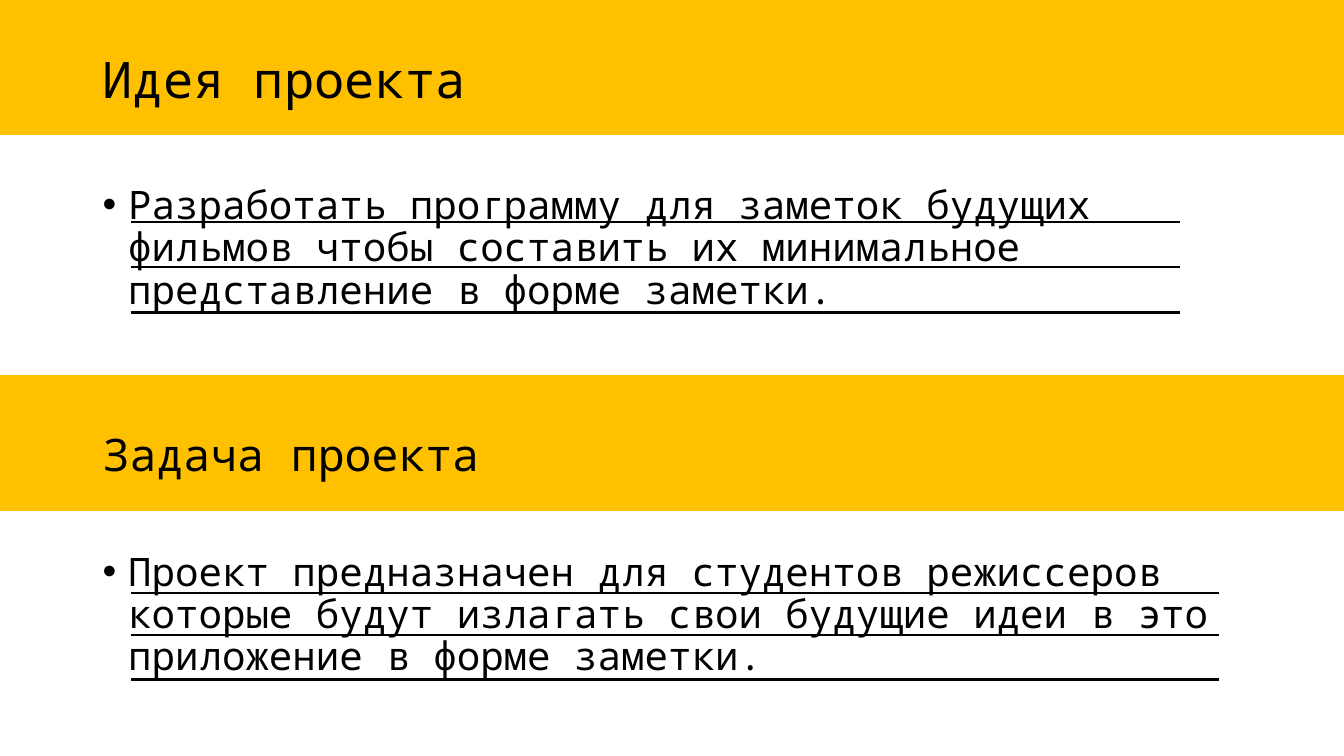
from lxml.etree import SubElement
from pptx import Presentation
from pptx.dml.color import RGBColor
from pptx.enum.shapes import MSO_CONNECTOR, MSO_SHAPE
from pptx.enum.text import MSO_ANCHOR
from pptx.oxml.ns import qn
from pptx.util import Cm, Pt

AMBER = RGBColor(0xFF, 0xC0, 0x00)
BLACK = RGBColor(0x00, 0x00, 0x00)
FONT = "Noto Sans Mono"
PAGE_WIDTH = 33.87
PAGE_HEIGHT = 19.05
TEXT_LEFT = 2.34
RULE_LEFT = 3.3


def add_band(page, top):
    band = page.shapes.add_shape(
        MSO_SHAPE.RECTANGLE, Cm(0), Cm(top), Cm(PAGE_WIDTH), Cm(3.38))
    band.shadow.inherit = False
    band.fill.solid()
    band.fill.fore_color.rgb = AMBER
    band.line.color.rgb = AMBER
    band.line.width = Pt(1)


def add_text(page, text, top, width, height, size, anchor=MSO_ANCHOR.TOP):
    box = page.shapes.add_textbox(Cm(TEXT_LEFT), Cm(top), Cm(width), Cm(height))
    frame = box.text_frame
    frame.word_wrap = True
    frame.vertical_anchor = anchor
    para = frame.paragraphs[0]
    para.text = text
    para.font.name = FONT
    para.font.size = Pt(size)
    para.font.color.rgb = BLACK
    return para


def add_bullet(page, text, top):
    para = add_text(page, text, top, 28.4, 3.68, 28)
    para.line_spacing = 0.9
    para.space_before = Pt(10)
    properties = para._p.get_or_add_pPr()
    properties.set("marL", str(Cm(0.64)))
    properties.set("indent", str(-Cm(0.64)))
    bullet_font = properties.makeelement(qn("a:buFont"), {"typeface": "Arial"})
    bullet = properties.makeelement(qn("a:buChar"), {"char": "•"})
    properties.find(qn("a:spcBef")).addnext(bullet_font)
    bullet_font.addnext(bullet)


def add_rules(page, right, heights):
    for height in heights:
        rule = page.shapes.add_connector(
            MSO_CONNECTOR.STRAIGHT,
            Cm(RULE_LEFT), Cm(height), Cm(right), Cm(height))
        rule.line.color.rgb = BLACK
        rule.line.width = Pt(1.75)
        SubElement(rule._element.spPr, qn("a:effectLst"))


def main():
    deck = Presentation()
    deck.slide_width = Cm(PAGE_WIDTH)
    deck.slide_height = Cm(PAGE_HEIGHT)
    page = deck.slides.add_slide(deck.slide_layouts[6])

    for top in (0, 9.47):
        add_band(page, top)

    title = add_text(page, "Идея проекта", 0.23, 29.21, 3.68, 36, MSO_ANCHOR.MIDDLE)
    title.line_spacing = 0.9
    add_bullet(
        page,
        "Разработать программу для заметок будущих фильмов чтобы составить "
        "их минимальное представление в форме заметки.",
        4.55)
    add_text(page, "Задача проекта", 10.64, 16.94, 1.63, 32)
    add_bullet(
        page,
        "Проект предназначен для студентов режиссеров которые будут излагать "
        "свои будущие идеи в это приложение в форме заметки.",
        13.79)

    add_rules(page, 29.74, (5.59, 6.73, 7.87))
    add_rules(page, 30.71, (14.94, 16, 17.12))

    deck.save("out.pptx")


if __name__ == "__main__":
    main()
